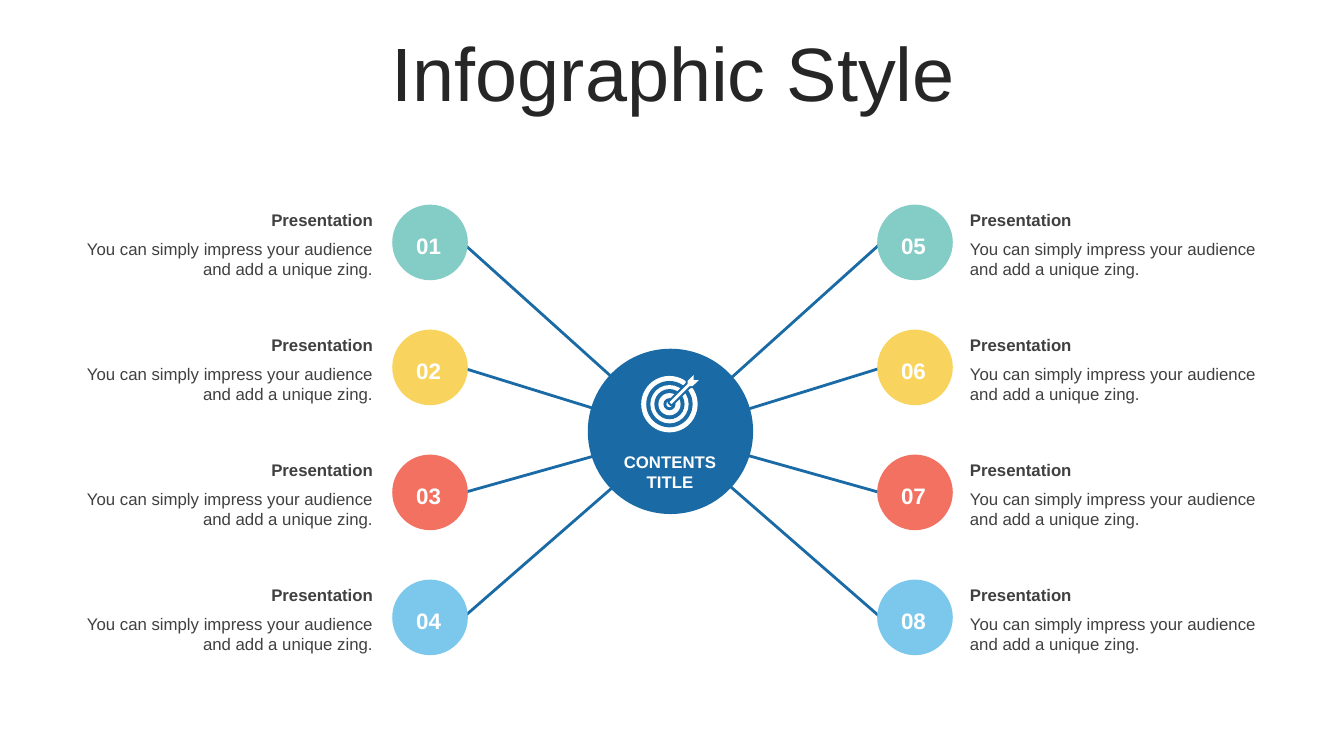
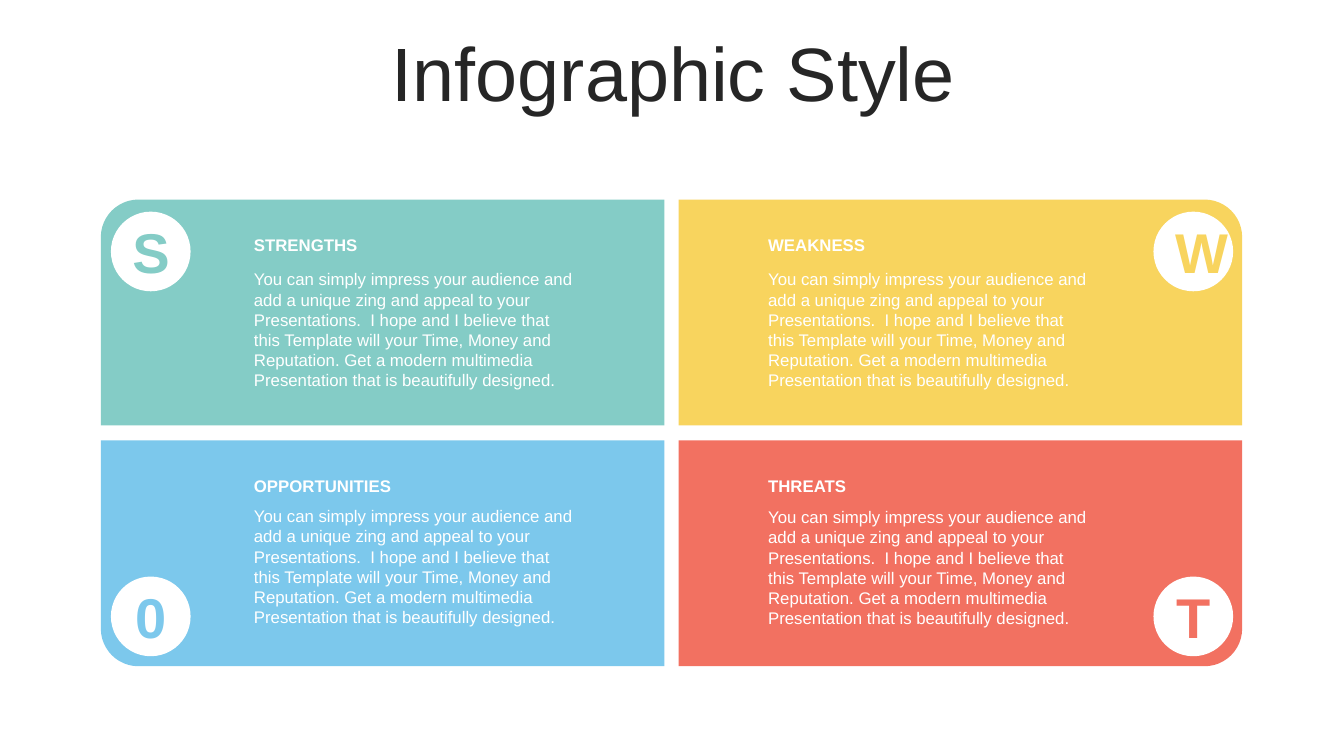
"""Build two infographic slides: a hub with eight points and a SWOT grid."""
from dataclasses import dataclass

from lxml.etree import SubElement
from pptx import Presentation
from pptx.dml.color import RGBColor
from pptx.enum.shapes import MSO_CONNECTOR, MSO_SHAPE
from pptx.enum.text import MSO_ANCHOR, PP_ALIGN
from pptx.oxml.ns import qn
from pptx.util import Inches, Pt


@dataclass(frozen=True)
class Theme:
    font: str = "Arial"
    ink: str = "262626"
    text: str = "404040"
    white: str = "FFFFFF"
    blue: str = "1A6BA5"
    teal: str = "84CCC6"
    gold: str = "F8D45E"
    coral: str = "F27161"
    sky: str = "7CC8EC"
    title: int = 54
    letter: int = 40
    number: int = 16
    body: int = 12
    line: float = 2


THEME = Theme()
POINT = "You can simply impress your audience and add a unique zing."
DETAIL = (
    "You can simply impress your audience and add a unique zing and appeal "
    "to your Presentations.  I hope and I believe that this Template will "
    "your Time, Money and Reputation. Get a modern multimedia Presentation "
    "that is beautifully designed."
)


def style(para, size, color, bold=False, align=PP_ALIGN.LEFT):
    para.alignment = align
    font = para.font
    font.name, font.size, font.bold = THEME.font, Pt(size), bold
    font.color.rgb = RGBColor.from_string(color)


def paint(shape, color):
    shape.shadow.inherit = False
    shape.fill.solid()
    shape.fill.fore_color.rgb = RGBColor.from_string(color)
    shape.line.fill.background()


def add_slide(deck, title):
    slide = deck.slides.add_slide(deck.slide_layouts[5])
    head = slide.shapes.title
    head.left, head.top = Inches(0.35), Inches(0.37)
    head.width, head.height = Inches(12.66), Inches(0.79)
    frame = head.text_frame
    frame.text = title
    frame.vertical_anchor = MSO_ANCHOR.MIDDLE
    para = frame.paragraphs[0]
    para.line_spacing = 0.9
    style(para, THEME.title, THEME.ink, align=PP_ALIGN.CENTER)
    return slide


def add_text(slide, text, x, y, w, h, color, bold=False,
             align=PP_ALIGN.LEFT, inset=0.1):
    box = slide.shapes.add_textbox(Inches(x), Inches(y), Inches(w), Inches(h))
    frame = box.text_frame
    frame.word_wrap = True
    frame.margin_left = frame.margin_right = Inches(inset)
    frame.text = text
    for para in frame.paragraphs:
        style(para, THEME.body, color, bold, align)


def add_disc(slide, x, y, size, color):
    disc = slide.shapes.add_shape(
        MSO_SHAPE.OVAL, Inches(x), Inches(y), Inches(size), Inches(size))
    paint(disc, color)
    return disc


def add_label(disc, text, size, color):
    disc.text_frame.text = text
    style(disc.text_frame.paragraphs[0], size, color, True, PP_ALIGN.CENTER)


def add_spoke(slide, start, end):
    spoke = slide.shapes.add_connector(
        MSO_CONNECTOR.STRAIGHT, *(Inches(v) for v in (*start, *end)))
    spoke.line.color.rgb = RGBColor.from_string(THEME.blue)
    spoke.line.width = Pt(THEME.line)
    SubElement(spoke._element.spPr, qn("a:effectLst"))


def add_arrow(slide, color, edge=0):
    points = [(6.88, 3.72), (6.88, 3.77), (6.93, 3.77), (6.87, 3.83),
              (6.84, 3.83), (6.66, 4.01), (6.64, 3.99), (6.82, 3.81),
              (6.82, 3.78)]
    path = [(Inches(x), Inches(y)) for x, y in points]
    pen = slide.shapes.build_freeform(*path[0])
    pen.add_line_segments(path[1:], close=True)
    arrow = pen.convert_to_shape()
    paint(arrow, color)
    if edge:
        arrow.line.color.rgb = RGBColor.from_string(color)
        arrow.line.width = Pt(edge)


def add_target(slide):
    radii = (0.28, 0.23, 0.19, 0.15, 0.11, 0.06, 0.03)
    for i, r in enumerate(radii):
        color = THEME.blue if i % 2 else THEME.white
        add_disc(slide, 6.64 - r, 4.01 - r, 2 * r, color)
    add_arrow(slide, THEME.blue, 3)
    add_arrow(slide, THEME.white)


def add_point(slide, number, color, x, y, left, align):
    disc = add_disc(slide, x, y, 0.75, color)
    frame = disc.text_frame
    frame.margin_left = frame.margin_bottom = 0
    frame.margin_right, frame.margin_top = Inches(0.03), Inches(0.07)
    add_label(disc, f"{number:02}", THEME.number, THEME.white)
    add_text(slide, "Presentation", left, y, 3, 0.3, THEME.text, True,
             align, 0)
    add_text(slide, POINT, left, y + 0.29, 3, 0.5, THEME.text, False,
             align, 0)


def add_hub(deck):
    slide = add_slide(deck, "Infographic Style")
    colors = (THEME.teal, THEME.gold, THEME.coral, THEME.sky)
    sides = ((6.69, 4.59, 3.89, 0.7, PP_ALIGN.RIGHT),
             (6.64, 8.74, 8.7, 9.62, PP_ALIGN.LEFT))
    rows = [2.03 + 1.24 * i for i in range(len(colors))]
    for start, end, *_ in sides:
        for y in rows:
            add_spoke(slide, (start, 4.3), (end, y + 0.38))
    add_disc(slide, 5.83, 3.46, 1.64, THEME.blue)
    add_text(slide, "CONTENTS\nTITLE", 5.99, 4.43, 1.31, 0.5, THEME.white,
             True, PP_ALIGN.CENTER)
    add_target(slide)
    for side, (_, _, x, left, align) in enumerate(sides):
        for row, (y, color) in enumerate(zip(rows, colors)):
            number = side * len(rows) + row + 1
            add_point(slide, number, color, x, y, left, align)


def add_panel(slide, col, row, color, letter, head, gap):
    x, y = 1 + 5.73 * col, 1.98 + 2.39 * row
    panel = slide.shapes.add_shape(
        MSO_SHAPE.ROUND_1_RECTANGLE, Inches(x), Inches(y),
        Inches(5.59), Inches(2.24))
    paint(panel, color)
    frame = panel._element.spPr.find(qn("a:xfrm"))
    if col == 0:
        frame.set("flipH", "1")
    if row == 1:
        frame.set("flipV", "1")
    disc = add_disc(slide, 1.1 + 10.34 * col, 2.1 + 3.62 * row, 0.79,
                    THEME.white)
    add_label(disc, letter, THEME.letter, color)
    left, top = 2.42 + 5.1 * col, y + 0.3
    add_text(slide, head, left, top, 3.39, 0.3, THEME.white, True)
    add_text(slide, DETAIL, left, top + gap, 3.39, 1.31, THEME.white)


def add_swot(deck):
    slide = add_slide(deck, "Infographic Style")
    add_panel(slide, 0, 0, THEME.teal, "S", "STRENGTHS", 0.34)
    add_panel(slide, 1, 0, THEME.gold, "W", "WEAKNESS", 0.34)
    add_panel(slide, 0, 1, THEME.sky, "0", "OPPORTUNITIES", 0.3)
    add_panel(slide, 1, 1, THEME.coral, "T", "THREATS", 0.31)


def main():
    deck = Presentation()
    deck.slide_width, deck.slide_height = Inches(13.33), Inches(7.5)
    add_hub(deck)
    add_swot(deck)
    deck.save("out.pptx")


if __name__ == "__main__":
    main()
